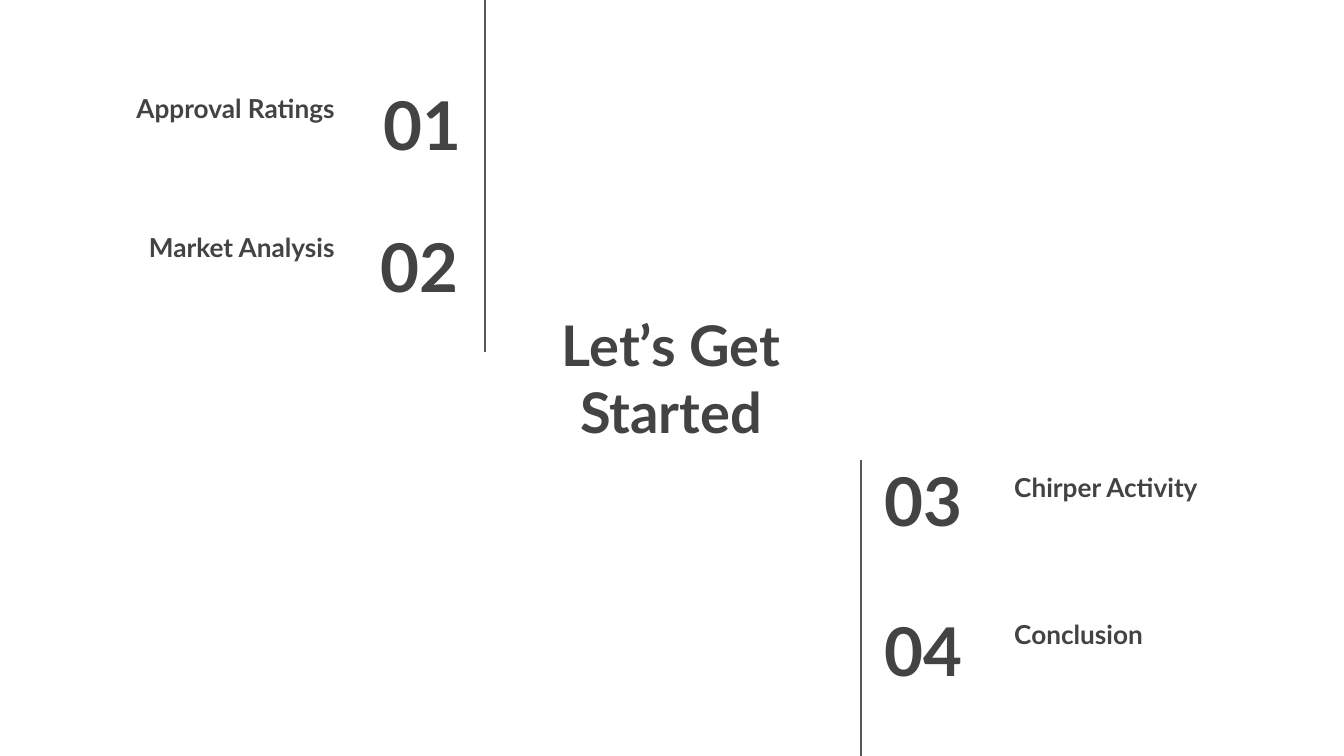
from pptx import Presentation
from pptx import util as u
from pptx.dml.color import RGBColor
from pptx.enum import shapes, text
from pptx.oxml.ns import qn
from lxml import etree

PX = 914400 / 134.4
INK = RGBColor(0x43, 0x43, 0x43)
RULE = RGBColor(0x59, 0x59, 0x59)
FONT = "Lato"
LEFT, CENTER, RIGHT = text.PP_ALIGN.LEFT, text.PP_ALIGN.CENTER, text.PP_ALIGN.RIGHT
MIDDLE, BOTTOM = text.MSO_ANCHOR.MIDDLE, text.MSO_ANCHOR.BOTTOM


def emu(px):
    return u.Emu(round(px * PX))


class Agenda:
    def __init__(self, prs):
        self.s = prs.slides.add_slide(prs.slide_layouts[6])

    def text(self, words, x, y, w, h, size, align, anchor=MIDDLE):
        sp = self.s.shapes.add_textbox(*map(emu, (x, y, w, h)))
        tf = sp.text_frame
        tf.word_wrap = True
        tf.vertical_anchor = anchor
        tf.margin_left = tf.margin_right = u.Inches(0.1)
        tf.margin_top = tf.margin_bottom = u.Inches(0.1)
        tf.text = words
        p = tf.paragraphs[0]
        p.alignment = align
        font = p.runs[0].font
        font.name, font.size, font.bold = FONT, u.Pt(size), True
        font.color.rgb = INK

    def number(self, words, x, y, w, align):
        self.text(words, x, y, w, 85, 36, align)

    def label(self, words, x, y, align):
        self.text(words, x, y, 290, 85, 14, align, BOTTOM)

    def rule(self, x, top, bottom):
        line = self.s.shapes.add_connector(
            shapes.MSO_CONNECTOR.STRAIGHT, emu(x), emu(top), emu(x), emu(bottom))
        line.line.color.rgb = RULE
        line.line.width = u.Pt(0.75)
        etree.SubElement(line._element.spPr, qn("a:effectLst"))


def main():
    prs = Presentation()
    prs.slide_width, prs.slide_height = emu(1344), emu(756)
    agenda = Agenda(prs)

    # Title
    agenda.text("Let’s Get Started", 497, 309, 348, 138, 30, CENTER)

    # Vertical rules
    agenda.rule(485, 0, 352)
    agenda.rule(861, 460, 756)

    # Sections on the left: number, its x and y, label, its y
    for number, x, y, label, label_y in (
        ("01", 312, 81, "Approval Ratings", 52),
        ("02", 309, 223, "Market Analysis", 191),
    ):
        agenda.label(label, 58, label_y, RIGHT)
        agenda.number(number, x, y, 163, RIGHT)

    # Sections on the right: number, its y, label, its y
    for number, y, label, label_y in (
        ("03", 457, "Chirper Activity", 431),
        ("04", 607, "Conclusion", 578),
    ):
        agenda.number(number, 871, y, 157, LEFT)
        agenda.label(label, 1001, label_y, LEFT)

    prs.save("out.pptx")


if __name__ == "__main__":
    main()
